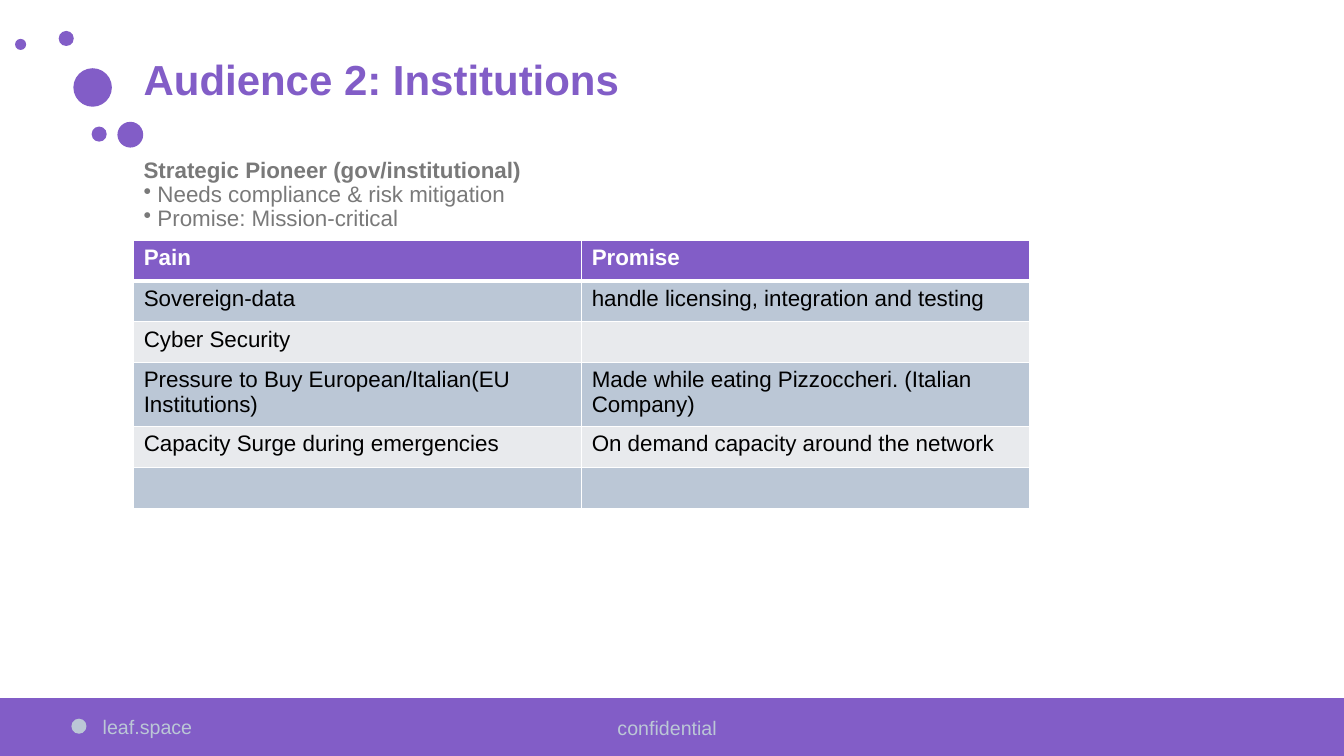
from pptx import Presentation
from pptx.dml.color import RGBColor
from pptx.enum.shapes import MSO_SHAPE as Preset
from pptx.enum.text import MSO_ANCHOR as Anchor, PP_ALIGN as Align
from pptx.oxml import parse_xml
from pptx.oxml.ns import nsdecls
from pptx.util import Cm, Pt

COLORS = {
    "purple": "825DC7",
    "mist": "BBC7D6",
    "pale": "E8EAED",
    "gray": "797979",
    "black": "000000",
    "white": "FFFFFF",
}
FONT = "Arial"
TABLE_ROWS = [
    ("Pain", "Promise"),
    ("Sovereign-data", "handle licensing, integration and testing"),
    ("Cyber Security", ""),
    ("Pressure to Buy European/Italian(EU Institutions)",
     "Made while eating Pizzoccheri. (Italian Company)"),
    ("Capacity Surge during emergencies", "On demand capacity around the network"),
    ("", ""),
]
ROW_HEIGHT = 1.03
TALL_ROW, TALL_HEIGHT = 3, 1.51


def color(name):
    return RGBColor.from_string(COLORS[name])


def style_paragraph(paragraph, size, color_name, bold=False):
    for font in [paragraph.font] + [run.font for run in paragraph.runs]:
        font.name = FONT
        font.size = Pt(size)
        font.bold = bold
        font.color.rgb = color(color_name)


def add_filled_shape(slide, preset, left, top, width, height, color_name):
    shape = slide.shapes.add_shape(preset, Cm(left), Cm(top), Cm(width), Cm(height))
    shape.shadow.inherit = False
    shape.fill.solid()
    shape.fill.fore_color.rgb = color(color_name)
    shape.line.fill.background()


def add_text(slide, box, text, size, color_name, bold=False,
             anchor=Anchor.TOP, align=Align.LEFT):
    text_frame = slide.shapes.add_textbox(*map(Cm, box)).text_frame
    text_frame.word_wrap = True
    text_frame.vertical_anchor = anchor
    text_frame.text = text
    for paragraph in text_frame.paragraphs:
        paragraph.alignment = align
        style_paragraph(paragraph, size, color_name, bold)
    return text_frame


def add_bullet(paragraph, indent):
    properties = paragraph._p.get_or_add_pPr()
    properties.set("marL", str(Cm(indent)))
    properties.set("indent", str(-Cm(indent)))
    properties.append(parse_xml(f'<a:buChar {nsdecls("a")} char="•"/>'))


def add_border(cell, side, width):
    cell._tc.get_or_add_tcPr().append(parse_xml(
        f'<a:{side} {nsdecls("a")} w="{Pt(width)}"><a:solidFill>'
        f'<a:srgbClr val="{COLORS["white"]}"/></a:solidFill></a:{side}>'))


def build_dots(slide, left, top):
    dots = [(0, 0.2, 0.28), (1.1, 0, 0.38), (1.47, 0.94, 0.97),
            (1.93, 2.41, 0.38), (2.58, 2.29, 0.65)]
    for x, y, diameter in dots:
        add_filled_shape(slide, Preset.OVAL, left + x, top + y,
                         diameter, diameter, "purple")


def build_title(slide, left, top, width, height):
    text_frame = add_text(slide, (left, top, width, height),
                          "Audience 2: Institutions", 30, "purple", True, Anchor.MIDDLE)
    text_frame.paragraphs[0].line_spacing = 0.9


def build_summary(slide, left, top, width, height):
    text_frame = add_text(
        slide, (left, top, width, height),
        "Strategic Pioneer (gov/institutional)\n"
        "Needs compliance & risk mitigation\n"
        "Promise: Mission-critical", 16, "gray")
    heading, *points = text_frame.paragraphs
    style_paragraph(heading, 16, "gray", True)
    for point in points:
        add_bullet(point, 0.35)
    for paragraph in text_frame.paragraphs:
        paragraph.line_spacing = 0.9


def build_table(slide, left, top, width):
    height = ROW_HEIGHT * (len(TABLE_ROWS) - 1) + TALL_HEIGHT
    table = slide.shapes.add_table(len(TABLE_ROWS), 2, Cm(left), Cm(top),
                                   Cm(width), Cm(height)).table
    for column in table.columns:
        column.width = Cm(width / 2)
    for index, texts in enumerate(TABLE_ROWS):
        table.rows[index].height = Cm(TALL_HEIGHT if index == TALL_ROW else ROW_HEIGHT)
        header = index == 0
        fill = "purple" if header else ("mist" if index % 2 else "pale")
        for cell, text in zip(table.rows[index].cells, texts):
            cell.text = text
            style_paragraph(cell.text_frame.paragraphs[0], 16,
                            "white" if header else "black", header)
            for side in ("lnL", "lnR", "lnT", "lnB"):
                thick = (header and side == "lnB") or (index == 1 and side == "lnT")
                add_border(cell, side, 3 if thick else 1)
            cell.fill.solid()
            cell.fill.fore_color.rgb = color(fill)


def build_footer(slide, left, top, width, height):
    add_filled_shape(slide, Preset.RECTANGLE, left, top, width, height, "purple")
    add_filled_shape(slide, Preset.OVAL, left + 1.8, top + 0.52, 0.38, 0.38, "mist")
    add_text(slide, (left + 2.34, top + 0.29, 5.13, 0.86), "leaf.space", 14, "mist")
    add_text(slide, (left + 14.25, top + 0.32, 5.13, 0.86), "confidential",
             14, "mist", align=Align.CENTER)


def main():
    presentation = Presentation()
    presentation.slide_width = Cm(33.87)
    presentation.slide_height = Cm(19.05)
    slide = presentation.slides.add_slide(presentation.slide_layouts[6])
    build_dots(slide, 0.38, 0.78)
    build_footer(slide, 0, 17.59, 33.87, 1.46)
    build_summary(slide, 3.37, 3.89, 28.65, 2.1)
    build_title(slide, 3.37, 1.42, 29.21, 1.3)
    build_table(slide, 3.37, 6.05, 22.58)
    presentation.save("out.pptx")


if __name__ == "__main__":
    main()
